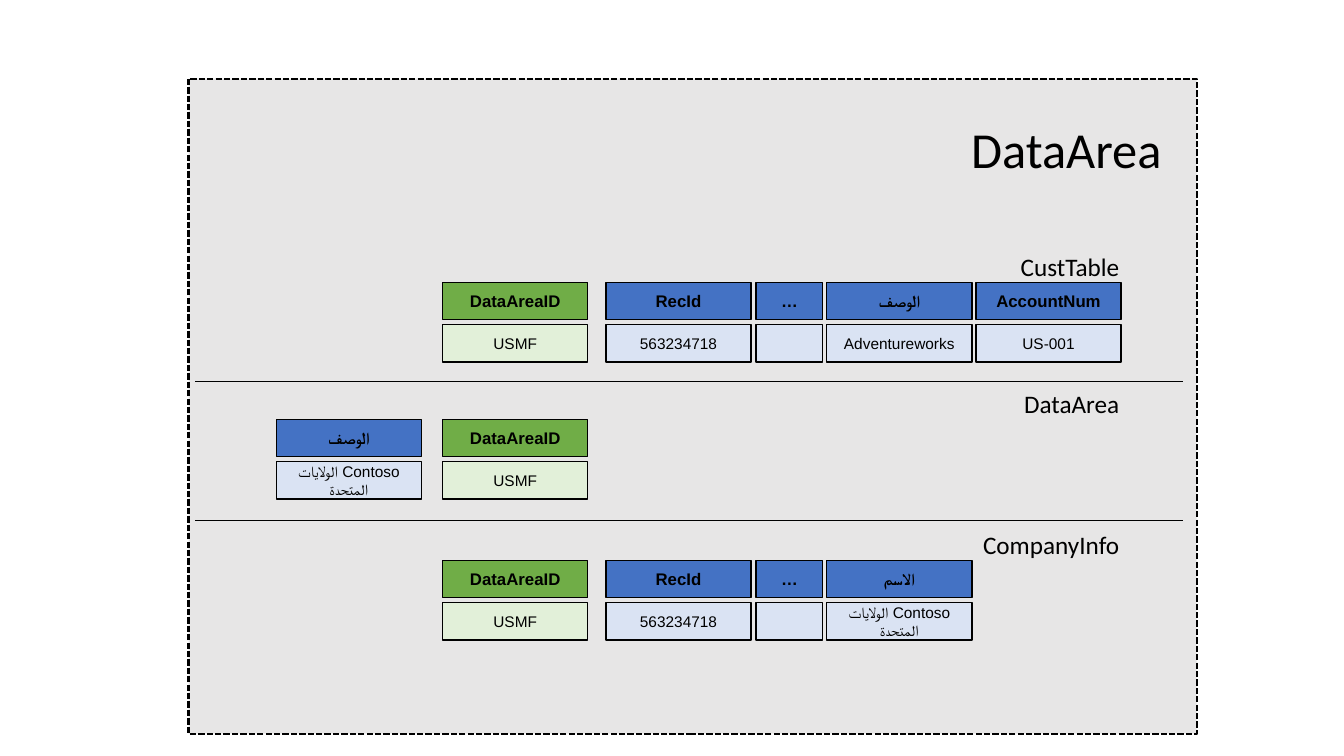
from lxml import etree
from pptx import Presentation
from pptx import util as u
from pptx.dml.color import RGBColor
from pptx.enum import dml, shapes, text
from pptx.oxml.ns import qn

COLORS = {
    "ink": "000000",
    "panel": "E7E6E6",
    "field_header": "4472C4",
    "field_value": "DAE3F3",
    "key_header": "70AD47",
    "key_value": "E2F0D9",
}
KEY = "DataAreaID"
# Left edges of the grid columns and tops of the table rows, in inches
COLUMNS = {"company": 2.74, "key": 4.39, "record": 6.01, "more": 7.5, "text": 8.2, "account": 9.68}
CELL_WIDTH, NARROW_WIDTH, CELL_HEIGHT = 1.44, 0.66, 0.37
ROW_STEP = 0.42
LABEL_RIGHT, LABEL_WIDTH, LABEL_RISE = 11.2, 1.94, 0.36
COMPANY = "Contoso الولايات المتحدة"

# Name, top of the header row, and (column, header, value) for every field
TABLES = [
    ("CustTable", 2.8, [
        ("key", KEY, "USMF"),
        ("record", "RecId", "563234718"),
        ("more", "…", ""),
        ("text", "الوصف", "Adventureworks"),
        ("account", "AccountNum", "US-001"),
    ]),
    ("DataArea", 4.16, [
        ("company", "الوصف", COMPANY),
        ("key", KEY, "USMF"),
    ]),
    ("CompanyInfo", 5.56, [
        ("key", KEY, "USMF"),
        ("record", "RecId", "563234718"),
        ("more", "…", ""),
        ("text", "الاسم", COMPANY),
    ]),
]
DIVIDERS = (3.78, 5.16)


def rgb(name):
    return RGBColor.from_string(COLORS[name])


def write(shape, content, *, size, font="Calibri", bold=False,
          align=text.PP_ALIGN.RIGHT, anchor=text.MSO_ANCHOR.TOP):
    """Put one right-to-left paragraph into the shape."""
    frame = shape.text_frame
    frame.word_wrap = True
    frame.vertical_anchor = anchor
    paragraph = frame.paragraphs[0]
    paragraph.alignment = align
    paragraph._p.get_or_add_pPr().set("rtl", "1")
    run = paragraph.add_run()
    run.text = content
    run.font.size = u.Pt(size)
    run.font.bold = bold
    run.font.name = font
    run.font.color.rgb = rgb("ink")
    complex_script = etree.SubElement(run._r.get_or_add_rPr(), qn("a:cs"))
    complex_script.set("typeface", font)


def add_box(slide, left, top, width, height, fill, line_width=1):
    box = slide.shapes.add_shape(shapes.MSO_SHAPE.RECTANGLE, *map(u.Inches, (left, top, width, height)))
    box.shadow.inherit = False
    box.fill.solid()
    box.fill.fore_color.rgb = rgb(fill)
    box.line.color.rgb = rgb("ink")
    box.line.width = u.Pt(line_width)
    return box


def add_field(slide, top, column, header, value):
    """Add a header cell with its value cell below."""
    kind = "key" if column == "key" else "field"
    width = NARROW_WIDTH if column == "more" else CELL_WIDTH
    cells = [(header, "header", 12, True), (value, "value", 11, False)]
    for row, (content, part, size, bold) in enumerate(cells):
        cell = add_box(slide, COLUMNS[column], top + row * ROW_STEP, width, CELL_HEIGHT, f"{kind}_{part}")
        if content:
            write(cell, content, size=size, bold=bold, font="Arial",
                  align=text.PP_ALIGN.CENTER, anchor=text.MSO_ANCHOR.MIDDLE)


def add_table_name(slide, name, top):
    label = slide.shapes.add_textbox(*map(u.Inches, (
        LABEL_RIGHT - LABEL_WIDTH, top - LABEL_RISE, LABEL_WIDTH, 0.5)))
    write(label, name, size=18)


def add_divider(slide, y):
    line = slide.shapes.add_connector(
        shapes.MSO_CONNECTOR.STRAIGHT, *map(u.Inches, (11.73, y, 1.93, y)))
    line.line.color.rgb = rgb("ink")
    line.line.width = u.Pt(0.5)
    etree.SubElement(line._element.spPr, qn("a:effectLst"))


def place_title(slide, content):
    """Format the title and bring it in front of the panel."""
    title = slide.shapes.title
    title.left, title.top, title.width, title.height = map(u.Inches, (7.62, 1.12, 4, 0.71))
    write(title, content, size=36)
    title.text_frame.auto_size = text.MSO_AUTO_SIZE.NONE
    title.element.getparent().append(title.element)


def main():
    presentation = Presentation()
    presentation.slide_width = u.Inches(13.33)
    presentation.slide_height = u.Inches(7.5)
    slide = presentation.slides.add_slide(presentation.slide_layouts[5])

    panel = add_box(slide, 1.87, 0.78, 10, 6.5, "panel", line_width=1.5)
    panel.line.dash_style = dml.MSO_LINE.SQUARE_DOT
    place_title(slide, "DataArea")
    for name, top, fields in TABLES:
        add_table_name(slide, name, top)
        for field in fields:
            add_field(slide, top, *field)
    for y in DIVIDERS:
        add_divider(slide, y)

    presentation.save("out.pptx")


if __name__ == "__main__":
    main()
